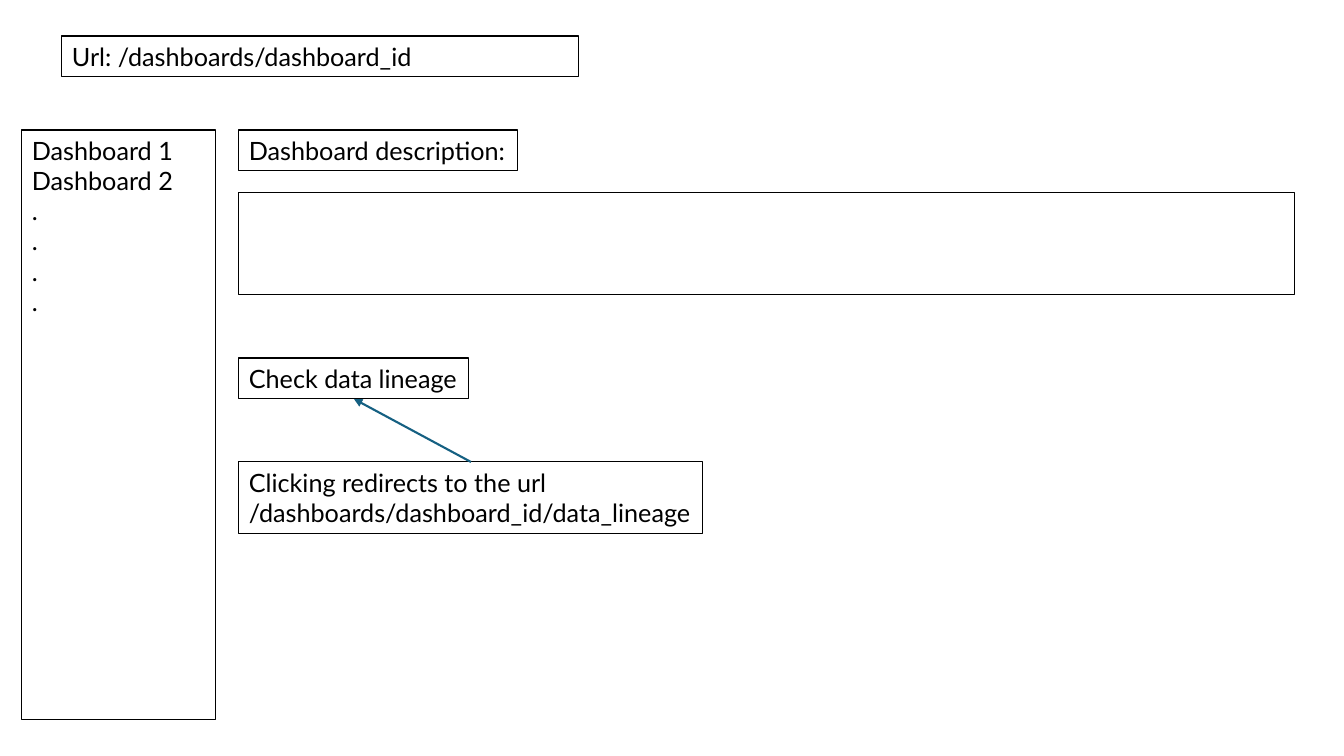
import pptx
import pptx.util
import pptx.dml.color
import pptx.enum.shapes
import pptx.oxml.ns
import lxml.etree

PX = 914400 / 100.8
BLACK = pptx.dml.color.RGBColor(0x00, 0x00, 0x00)
TEAL = pptx.dml.color.RGBColor(0x15, 0x60, 0x82)
COLUMN_LEFT = 239
BODY_TOP = 130
LINE_HEIGHT = 41


def px(length):
    return pptx.util.Emu(round(length * PX))


def add_panel(text, left, top, width, height, wrap=True, size=18, font="Lato", color=BLACK):
    panel = slide.shapes.add_textbox(px(left), px(top), px(width), px(height))
    panel.line.color.rgb = BLACK
    panel.line.width = pptx.util.Pt(0.75)
    panel.text_frame.word_wrap = wrap
    panel.text_frame.text = text
    for paragraph in panel.text_frame.paragraphs:
        paragraph.font.name = font
        paragraph.font.size = pptx.util.Pt(size)
        paragraph.font.color.rgb = color
    return panel


presentation = pptx.Presentation()
presentation.slide_width = px(1344)
presentation.slide_height = px(756)
slide = presentation.slides.add_slide(presentation.slide_layouts[6])

add_panel("Url: /dashboards/dashboard_id", 62, 36, 517, LINE_HEIGHT)
add_panel("Dashboard description:", COLUMN_LEFT, BODY_TOP, 279, LINE_HEIGHT, wrap=False)

description_area = slide.shapes.add_shape(
    pptx.enum.shapes.MSO_SHAPE.RECTANGLE, px(COLUMN_LEFT), px(193), px(1056), px(102))
description_area.shadow.inherit = False
description_area.fill.background()
description_area.line.color.rgb = BLACK
description_area.line.width = pptx.util.Pt(0.75)

add_panel("\n".join(["Dashboard 1", "Dashboard 2"] + ["."] * 4), 22, BODY_TOP, 194, 590)
lineage_button = add_panel("Check data lineage", COLUMN_LEFT, 358, 230, LINE_HEIGHT, wrap=False)
redirect_note = add_panel(
    "Clicking redirects to the url\n/dashboards/dashboard_id/data_lineage",
    COLUMN_LEFT, 462, 464, 72, wrap=False)

redirect_arrow = slide.shapes.add_connector(
    pptx.enum.shapes.MSO_CONNECTOR.STRAIGHT, px(471), px(462), px(354), px(399))
redirect_arrow.begin_connect(redirect_note, 0)
redirect_arrow.end_connect(lineage_button, 2)
redirect_arrow.line.color.rgb = TEAL
redirect_arrow.line.width = pptx.util.Pt(1.5)
lxml.etree.SubElement(
    redirect_arrow.line._get_or_add_ln(), pptx.oxml.ns.qn("a:tailEnd"), type="triangle")
lxml.etree.SubElement(redirect_arrow._element.spPr, pptx.oxml.ns.qn("a:effectLst"))

presentation.save("out.pptx")
